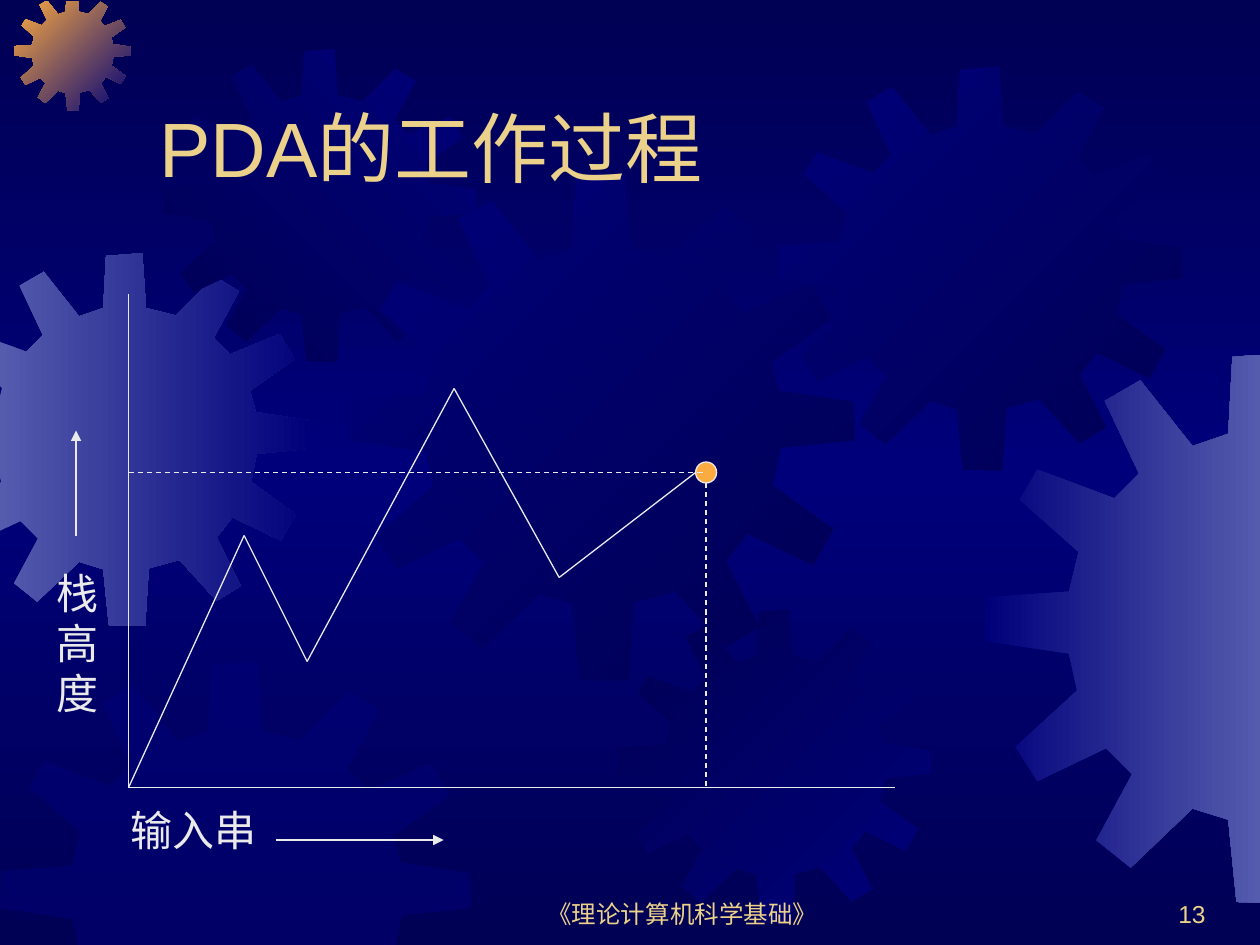
import copy
import itertools

import pptx
import pptx.dml.color
import pptx.enum.dml
import pptx.enum.shapes
import pptx.enum.text
import pptx.oxml
import pptx.oxml.ns
import pptx.util

Pt = pptx.util.Pt
SHAPES = pptx.enum.shapes
ALIGN = pptx.enum.text.PP_ALIGN
ANCHOR = pptx.enum.text.MSO_ANCHOR

NAVY, BLUE, LILAC = "000054", "00007A", "555BAD"
AMBER, CREAM, PALE = "FCAB40", "EBD189", "EAEAEA"

FRAME = (0, 1, 720, 540)  # left, top, right, bottom limits for the gears
SPAN = 401  # width of the gear outline below
GEAR = [
    (255, 67), (223, 59), (219, 0), (180, 3), (177, 59), (151, 68),
    (113, 20), (87, 35), (112, 88), (94, 106), (38, 85), (25, 107),
    (68, 145), (61, 174), (1, 178), (0, 210), (61, 219), (67, 246),
    (22, 287), (38, 312), (88, 288), (107, 307), (81, 355), (106, 375),
    (151, 332), (177, 340), (183, 400), (222, 401), (226, 339), (259, 330),
    (299, 374), (325, 358), (299, 306), (316, 284), (368, 309), (384, 281),
    (336, 246), (342, 216), (401, 210), (400, 180), (341, 171), (335, 148),
    (383, 114), (367, 87), (313, 109), (296, 91), (323, 41), (297, 25),
]
# left, top, size, first colour, last colour, clockwise angle
GEARS = [
    (-35, 144.7, 213, LILAC, BLUE, 0),
    (8.3, -3, 66.2, AMBER, BLUE, 45),
    (93.6, 28.1, 178.6, NAVY, BLUE, 315),
    (199.4, 100.1, 289, BLUE, NAVY, 45),
    (0, 378, 269.3, BLUE, None, 0),
    (353.5, 348.5, 178.6, NAVY, BLUE, 45),
    (445, 38.2, 230.6, BLUE, NAVY, 45),
    (563, 201.6, 314.6, BLUE, LILAC, 0),
]


def rgb(code):
    return pptx.dml.color.RGBColor.from_string(code)


def add(node, tag, **attrs):
    child = pptx.oxml.parse_xml(f"<{tag} {pptx.oxml.ns.nsdecls('a')}/>")
    for name, value in attrs.items():
        child.set(name, value)
    node.append(child)


def blend(fill, first, last, angle):
    fill.gradient()
    fill.gradient_angle = (360 - angle) % 360
    for stop, code in zip(fill.gradient_stops, (first, last)):
        stop.color.rgb = rgb(code)


def back(slide):
    """Fill the background: dark edges, lighter middle."""
    fill = slide.background.fill
    blend(fill, NAVY, BLUE, 90)
    stops = slide.element.find(".//" + pptx.oxml.ns.qn("a:gsLst"))
    stops.append(copy.deepcopy(stops[0]))
    for stop, place in zip(fill.gradient_stops, (0, 0.5, 1)):
        stop.position = place


def clip(points, axis, limit, sign):
    """Keep the part of a polygon on one side of a level or upright line."""
    kept = []
    for a, b in zip(points, points[1:] + points[:1]):
        da, db = sign * (a[axis] - limit), sign * (b[axis] - limit)
        if da >= 0:
            kept.append(a)
        if da * db < 0:
            t = da / (da - db)
            kept.append(tuple(p + t * (q - p) for p, q in zip(a, b)))
    return kept


def gear(slide, left, top, size, first, last, angle):
    scale = size / SPAN
    points = [(left + x * scale, top + y * scale) for x, y in GEAR]
    for side, limit in enumerate(FRAME):
        points = clip(points, side % 2, limit, 1 if side < 2 else -1)
    points = [(Pt(x), Pt(y)) for x, y in points]
    form = slide.shapes.build_freeform(*points[0], scale=1.0)
    form.add_line_segments(points[1:], close=True)
    shape = form.convert_to_shape()
    shape.shadow.inherit = False
    shape.line.fill.background()
    if last:
        blend(shape.fill, first, last, angle)
    else:
        shape.fill.solid()
        shape.fill.fore_color.rgb = rgb(first)
        node = shape.element.find(".//" + pptx.oxml.ns.qn("a:srgbClr"))
        add(node, "a:alpha", val="50000")


def text(slide, box, words, size, code, face="Arial",
         align=ALIGN.LEFT, anchor=ANCHOR.TOP):
    frame = slide.shapes.add_textbox(*map(Pt, box)).text_frame
    frame.word_wrap = True
    frame.vertical_anchor = anchor
    para = frame.paragraphs[0]
    para.text = words
    para.alignment = align
    para.font.size = Pt(size)
    para.font.name = face
    para.font.color.rgb = rgb(code)


def line(slide, start, end, dash=False, arrow=False):
    link = slide.shapes.add_connector(
        SHAPES.MSO_CONNECTOR.STRAIGHT, *map(Pt, (*start, *end)))
    link.line.color.rgb = rgb(PALE)
    link.line.width = Pt(0.75)
    if dash:
        link.line.dash_style = pptx.enum.dml.MSO_LINE.DASH
    if arrow:
        add(link.line._get_or_add_ln(), "a:tailEnd", type="triangle")
    add(link.element.spPr, "a:effectLst")


def dot(slide, x, y, radius):
    shape = slide.shapes.add_shape(
        SHAPES.MSO_SHAPE.OVAL, Pt(x - radius), Pt(y - radius),
        Pt(2 * radius), Pt(2 * radius))
    shape.shadow.inherit = False
    shape.fill.solid()
    shape.fill.fore_color.rgb = rgb(AMBER)
    shape.line.color.rgb = rgb(PALE)
    shape.line.width = Pt(0.75)


def graph(slide, left, top, width, height):
    """Draw stack height against input, with axes meeting at lower left."""
    def at(x, y):
        return left + x, top + y

    zero = at(0, height)
    line(slide, zero, at(width, height))
    line(slide, zero, at(0, 0))
    text(slide, (*at(-6, height + 6), 102, 36), "输入串", 24, PALE,
         "Arial Narrow")
    text(slide, (*at(-48.5, 152.5), 36, 93.6), "栈高度", 24, PALE,
         "Arial Narrow")
    line(slide, at(84, height + 30), at(180, height + 30), arrow=True)
    line(slide, at(-30, 138), at(-30, 78), arrow=True)

    x, y, radius = 330, 102, 6
    dot(slide, *at(x, y), radius)
    line(slide, at(x, y + radius), at(x, height), dash=True)
    line(slide, at(0, y), at(x, y), dash=True)
    trace = [(0, height), (66, 138), (102, 210), (186, 54), (246, 162),
             (x - radius, y)]
    for start, end in itertools.pairwise(trace):
        line(slide, at(*start), at(*end))


def foot(slide, left, top, width, height):
    text(slide, (left, top, 228, height), "《理论计算机科学基础》", 14, CREAM,
         align=ALIGN.CENTER, anchor=ANCHOR.BOTTOM)
    text(slide, (left + width - 150, top, 150, height), "13", 14, CREAM,
         align=ALIGN.RIGHT, anchor=ANCHOR.BOTTOM)


def main():
    deck = pptx.Presentation()
    deck.slide_width, deck.slide_height = Pt(720), Pt(540)
    slide = deck.slides.add_slide(deck.slide_layouts[6])
    back(slide)
    for part in GEARS:
        gear(slide, *part)
    foot(slide, 276, 498, 420, 36)
    text(slide, (84, 24, 612, 90), "PDA的工作过程", 44, CREAM,
         anchor=ANCHOR.BOTTOM)
    graph(slide, 73.5, 168, 438, 282)
    deck.save("out.pptx")


if __name__ == "__main__":
    main()
